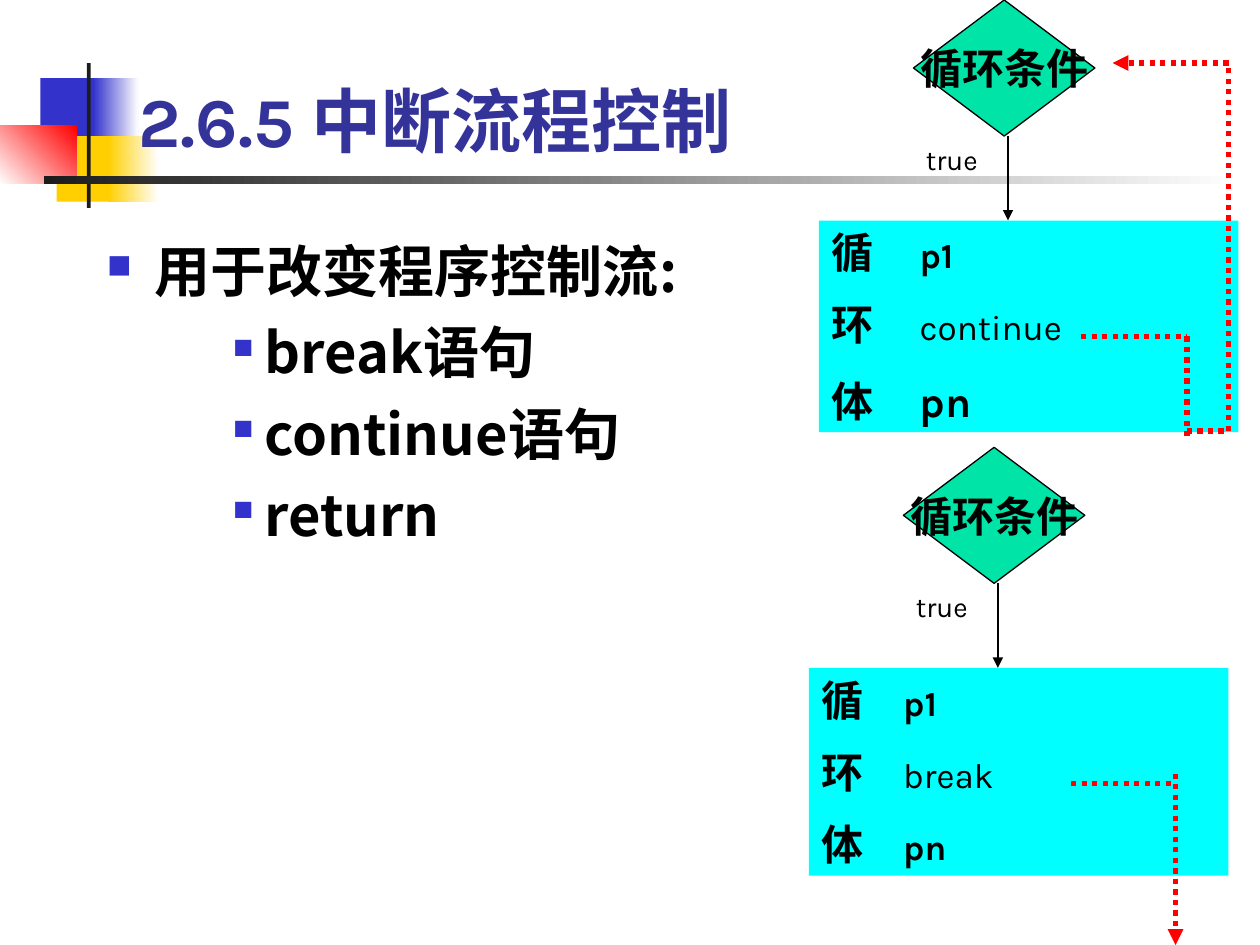
from typing import NamedTuple, Optional

from lxml import etree
from pptx import Presentation
from pptx.dml.color import RGBColor
from pptx.enum import dml, shapes, text
from pptx.oxml.ns import qn
from pptx.util import Inches, Pt

LATIN = "Karla"
CJK = "Noto Sans CJK SC"
BLACK = RGBColor(0x00, 0x00, 0x00)
WHITE = RGBColor(0xFF, 0xFF, 0xFF)
RED = RGBColor(0xFF, 0x00, 0x00)
BLUE = RGBColor(0x33, 0x33, 0xCC)
TITLE_BLUE = RGBColor(0x33, 0x33, 0x99)
GOLD = RGBColor(0xFF, 0xCF, 0x01)
DARK = RGBColor(0x1C, 0x1C, 0x1C)
CYAN = RGBColor(0x00, 0xFF, 0xFF)
GREEN = RGBColor(0x00, 0xE4, 0xA8)


class Bar(NamedTuple):
    left: float
    top: float
    width: float
    height: float
    start: RGBColor
    end: Optional[RGBColor] = None
    angle: float = 0


class Step(NamedTuple):
    label: str
    code: str
    size: float = 20
    bold: bool = True
    before: float = 12.5


class Segment(NamedTuple):
    x1: float
    y1: float
    x2: float
    y2: float
    arrow: bool = False


class Flow(NamedTuple):
    left: float
    top: float
    body_height: float
    tab: float
    steps: list[Step]
    jump: list[Segment]


class Bullet(NamedTuple):
    words: str
    level: int
    margin: float
    hang: float
    percent: int


BARS = [
    Bar(0.32, 0.62, 0.48, 0.52, BLUE),
    Bar(0.74, 0.62, 0.36, 0.52, BLUE, WHITE),
    Bar(0.45, 1.08, 0.46, 0.52, GOLD),
    Bar(0.86, 1.08, 0.4, 0.52, GOLD, WHITE),
    Bar(0, 1, 0.61, 0.46, WHITE, RED, 45),
    Bar(0.69, 0.5, 0.03, 1.15, DARK),
    Bar(0.35, 1.4, 9.51, 0.06, DARK, WHITE),
]

BULLETS = [Bullet("用于改变程序控制流:", 0, 0.38, 0.38, 60)] + [
    Bullet(words, 2, 1.25, 0.25, 50) for words in ("break语句", "continue语句", "return")
]

FLOWS = [
    Flow(7.17, 3.55, 1.65, 0.65,
         [Step("循", "p1"), Step("环", "break", bold=False), Step("体", "pn")],
         [Segment(8.5, 6.22, 9.33, 6.22), Segment(9.33, 6.14, 9.33, 7.5, True)]),
    Flow(7.25, 0, 1.68, 0.7,
         [Step("循", "p1"), Step("环", "continue", bold=False), Step("体", "pn", 24, before=15)],
         [Segment(8.58, 2.67, 9.42, 2.67), Segment(9.42, 2.67, 9.42, 3.5),
          Segment(9.42, 3.42, 9.75, 3.42), Segment(9.75, 3.42, 9.75, 0.5),
          Segment(9.75, 0.5, 8.83, 0.5, True)]),
]


def add_run(p, words: str, size: float, bold: bool = True,
            color: RGBColor = BLACK, latin: str = LATIN) -> None:
    r = p.add_run()
    r.text = words
    r.font.size = Pt(size)
    r.font.bold = bold
    r.font.color.rgb = color
    r.font.name = latin
    etree.SubElement(r.font._element, qn("a:ea"), typeface=CJK)


def add_box(s, left: float, top: float, width: float, height: float):
    sp = s.shapes.add_textbox(Inches(left), Inches(top), Inches(width), Inches(height))
    sp.text_frame.word_wrap = True
    return sp.text_frame


def add_shape(s, kind, left: float, top: float, width: float, height: float, color: RGBColor):
    sp = s.shapes.add_shape(kind, Inches(left), Inches(top), Inches(width), Inches(height))
    sp.shadow.inherit = False
    sp.fill.solid()
    sp.fill.fore_color.rgb = color
    sp.line.fill.background()
    return sp


def add_bar(s, bar: Bar) -> None:
    sp = add_shape(s, shapes.MSO_SHAPE.RECTANGLE, *bar[:5])
    if bar.end is not None:
        sp.fill.gradient()
        sp.fill.gradient_angle = bar.angle
        for stop, color in zip(sp.fill.gradient_stops, (bar.start, bar.end)):
            stop.color.rgb = color


def add_line(s, seg: Segment, color: RGBColor, width: float, dotted: bool) -> None:
    c = s.shapes.add_connector(shapes.MSO_CONNECTOR.STRAIGHT, Inches(seg.x1),
                               Inches(seg.y1), Inches(seg.x2), Inches(seg.y2))
    c.line.color.rgb = color
    c.line.width = Pt(width)
    if dotted:
        c.line.dash_style = dml.MSO_LINE.ROUND_DOT
    sppr = c._element.spPr
    if seg.arrow:
        etree.SubElement(sppr.find(qn("a:ln")), qn("a:tailEnd"), type="triangle")
    etree.SubElement(sppr, qn("a:effectLst"))


def add_bullets(s) -> None:
    tf = add_box(s, 0.75, 1.83, 8.92, 5.17)
    for i, item in enumerate(BULLETS):
        p = tf.add_paragraph() if i else tf.paragraphs[0]
        p.level = item.level
        ppr = p._p.get_or_add_pPr()
        ppr.set("marL", str(Inches(item.margin)))
        ppr.set("indent", str(-Inches(item.hang)))
        color = etree.SubElement(ppr, qn("a:buClr"))
        etree.SubElement(color, qn("a:srgbClr"), val=str(BLUE))
        etree.SubElement(ppr, qn("a:buSzPct"), val=str(item.percent * 1000))
        etree.SubElement(ppr, qn("a:buChar"), char="■")
        p.space_before = Pt(8 if i else 0)
        add_run(p, item.words, 32, latin=CJK)


def add_steps(tf, flow: Flow) -> None:
    for i, step in enumerate(flow.steps):
        p = tf.add_paragraph() if i else tf.paragraphs[0]
        p.alignment = text.PP_ALIGN.LEFT
        tabs = etree.SubElement(p._p.get_or_add_pPr(), qn("a:tabLst"))
        etree.SubElement(tabs, qn("a:tab"), pos=str(Inches(flow.tab)), algn="l")
        p.space_before = Pt(step.before if i else 0)
        add_run(p, step.label + "\t", 24)
        add_run(p, step.code, step.size, step.bold)


def add_flow(s, flow: Flow) -> None:
    x, y = flow.left, flow.top
    add_line(s, Segment(x + 0.75, y + 1.08, x + 0.75, y + 1.75, True), BLACK, 0.75, False)

    body = add_shape(s, shapes.MSO_SHAPE.RECTANGLE, x - 0.75, y + 1.75,
                     3.33, flow.body_height, CYAN)
    body.text_frame.vertical_anchor = text.MSO_ANCHOR.TOP
    add_steps(body.text_frame, flow)

    test = add_shape(s, shapes.MSO_SHAPE.FLOWCHART_DECISION, x, y, 1.44, 1.08, GREEN)
    test.line.color.rgb = BLACK
    test.line.width = Pt(0.75)
    tf = test.text_frame
    tf.word_wrap = False
    tf.vertical_anchor = text.MSO_ANCHOR.MIDDLE
    tf.paragraphs[0].alignment = text.PP_ALIGN.CENTER
    add_run(tf.paragraphs[0], "循环条件", 24)

    add_run(add_box(s, x, y + 1.08, 0.68, 0.37).paragraphs[0], "true", 16, False)
    for seg in flow.jump:
        add_line(s, seg, RED, 3, True)


def main() -> None:
    prs = Presentation()
    prs.slide_width, prs.slide_height = Inches(10), Inches(7.5)
    s = prs.slides.add_slide(prs.slide_layouts[6])
    for bar in BARS:
        add_bar(s, bar)
    tf = add_box(s, 1, 0.33, 8.58, 1)
    tf.vertical_anchor = text.MSO_ANCHOR.BOTTOM
    add_run(tf.paragraphs[0], "2.6.5 中断流程控制", 40, color=TITLE_BLUE)
    add_bullets(s)
    for flow in FLOWS:
        add_flow(s, flow)
    prs.save("out.pptx")


if __name__ == "__main__":
    main()
